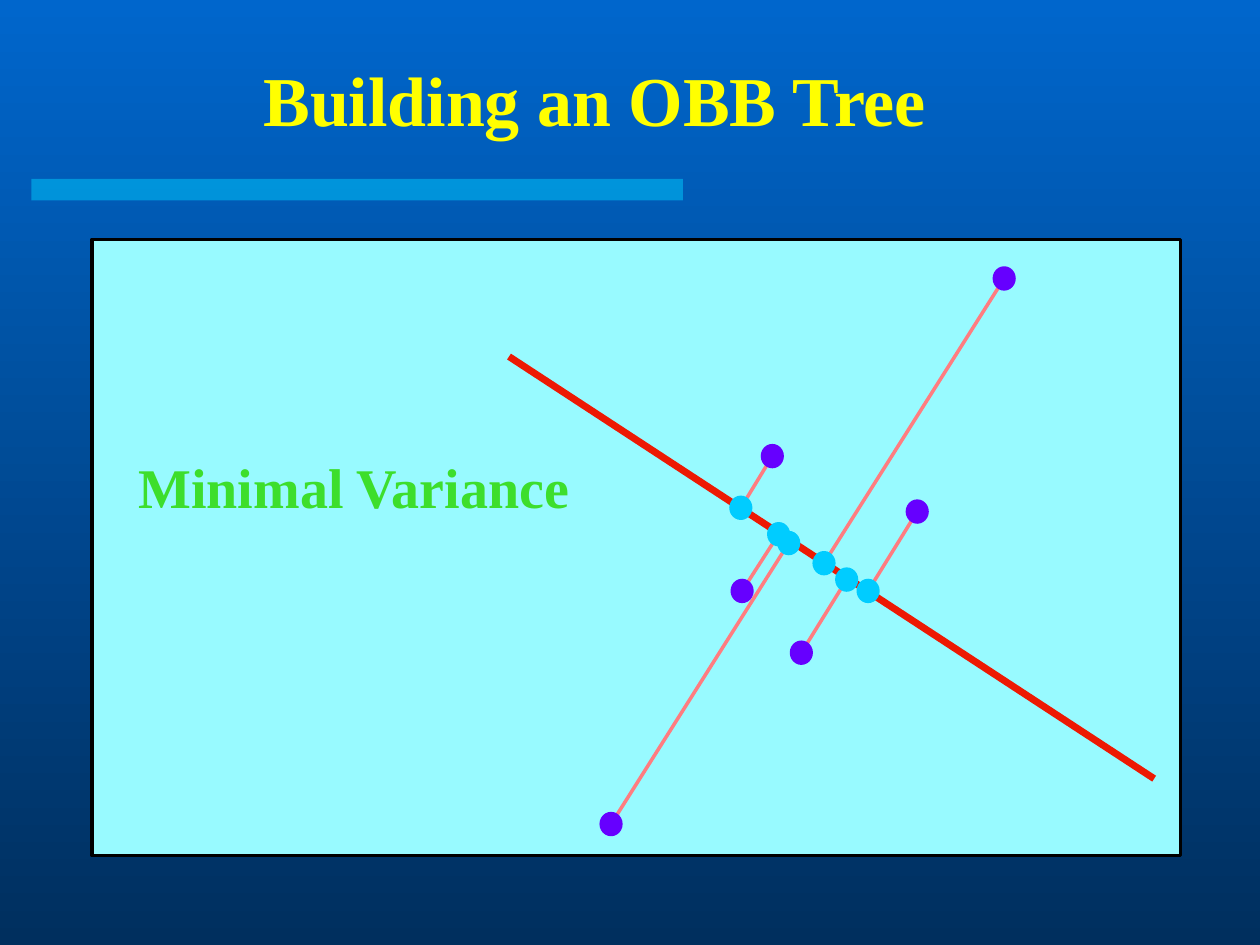
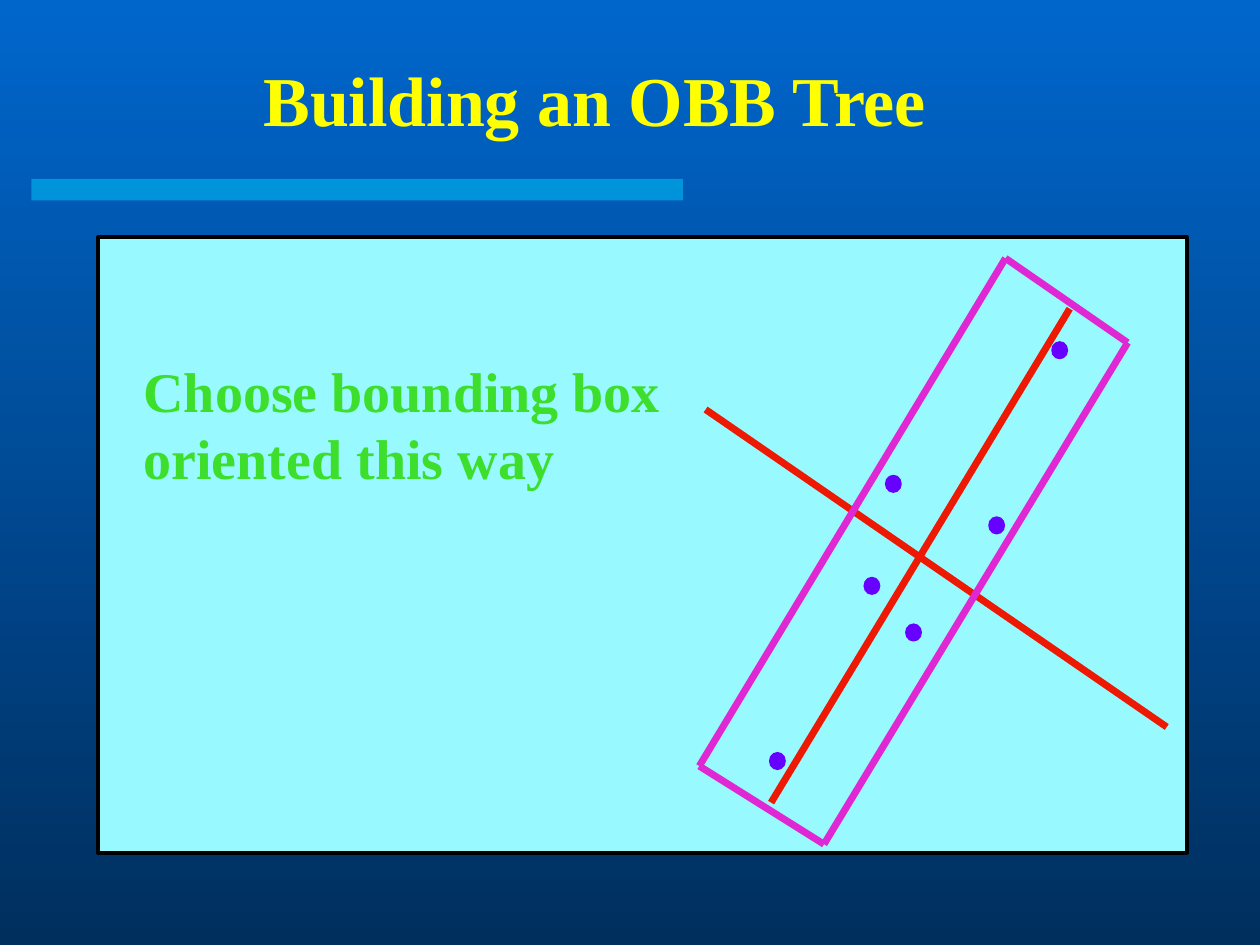
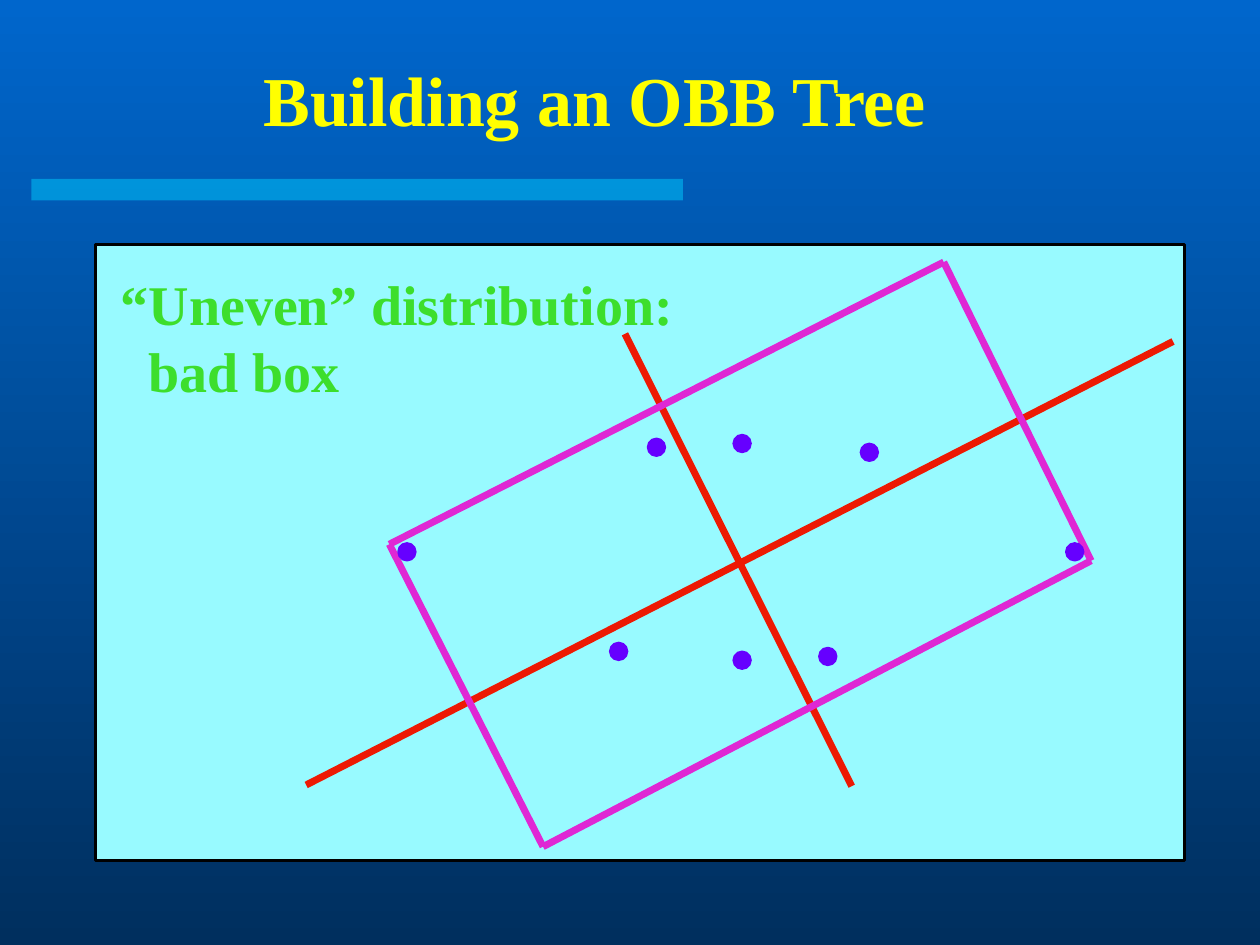
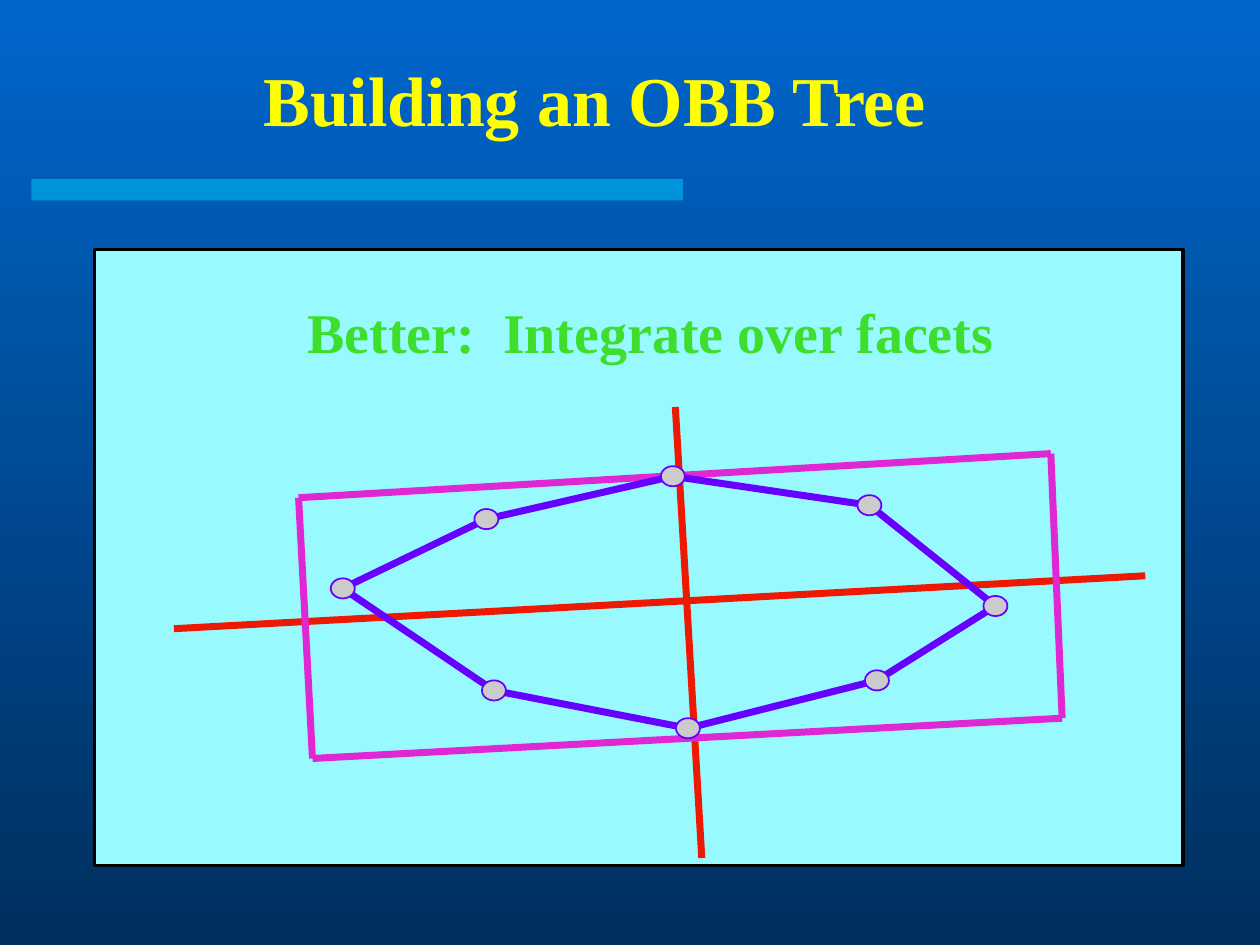
"""Build four slides on choosing an oriented bounding box."""
import dataclasses

import lxml.etree
import pptx
import pptx.dml.color
import pptx.enum.shapes
import pptx.enum.text
import pptx.oxml.ns
import pptx.util

TITLE = "Building an OBB Tree"
SLIDES = [
    {
        "frame": (0.73, 1.9),
        "caption": ["Minimal Variance"],
        "caption_box": (1, 3.54, 3.68, 0.63),
        "axes": [((9.16, 6.18), (4.04, 2.83))],
        "dot": (0.17, 0.18),
        "projections": [
            ((6.13, 3.62), (5.88, 4.03)),
            ((5.89, 4.69), (6.18, 4.24)),
            ((4.85, 6.54), (6.26, 4.31)),
            ((7.97, 2.21), (6.54, 4.47)),
            ((6.36, 5.18), (6.72, 4.6)),
            ((7.28, 4.06), (6.89, 4.69)),
        ],
    },
    {
        "frame": (0.78, 1.88),
        "caption": ["Choose bounding box", "oriented this way"],
        "caption_box": (1.04, 2.78, 4.31, 1.17),
        "axes": [((9.26, 5.77), (5.6, 3.25)), ((8.49, 2.45), (6.12, 6.37))],
        "box": [(5.55, 6.08), (7.98, 2.05), (8.95, 2.72), (6.54, 6.7)],
        "dot": (0.12, 0.13),
        "points": [(8.41, 2.78), (7.09, 3.84), (7.91, 4.17),
                   (6.92, 4.65), (7.25, 5.02), (6.17, 6.04)],
    },
    {
        "frame": (0.76, 1.94),
        "caption": ["“Uneven” distribution:", "bad box"],
        "caption_box": (0.86, 2.09, 4.59, 1.17),
        "indent": 0.22,
        "axes": [((4.96, 2.65), (6.76, 6.24)), ((2.43, 6.23), (9.31, 2.71))],
        "box": [(3.09, 4.32), (7.49, 2.08), (8.66, 4.45), (4.31, 6.72)],
        "dot": (0.14, 0.14),
        "points": [(5.89, 3.52), (5.89, 5.24), (5.21, 3.55), (4.91, 5.17),
                   (6.57, 5.21), (6.9, 3.59), (8.53, 4.38), (3.23, 4.38)],
    },
    {
        "frame": (0.75, 1.98),
        "caption": ["Better:  Integrate over facets"],
        "caption_box": (2.34, 2.31, 5.66, 0.63),
        "axes": [((5.36, 3.23), (5.57, 6.81)), ((1.38, 4.99), (9.09, 4.57))],
        "box": [(2.37, 3.95), (8.34, 3.6), (8.43, 5.7), (2.48, 6.02)],
        "dot": (0.19, 0.16),
        "hull": [(2.72, 4.67), (3.86, 4.12), (5.34, 3.78), (6.9, 4.01),
                 (7.9, 4.81), (6.96, 5.4), (5.46, 5.78), (3.92, 5.48)],
    },
]


@dataclasses.dataclass(frozen=True)
class Theme:
    """Colours, type, line widths and shared places."""

    font: str = "Times New Roman"
    title_size: int = 40
    caption_size: int = 32
    title: str = "FFFF00"
    caption: str = "3DDE2C"
    backdrop: tuple = ("0066CC", "002F5E")
    panel: str = "98FAFF"
    outline: str = "000000"
    axis: str = "ED1903"
    box: str = "DF27D4"
    drop: str = "FF7C80"
    point: str = "6600FF"
    projected: str = "00CCFF"
    vertex: str = "CBCBCB"
    thick: int = 4
    thin: int = 2
    hair: int = 1
    slide_size: tuple = (10, 7.5)
    frame_size: tuple = (8.64, 4.89)
    title_box: tuple = (0.29, 0.32, 8.86, 0.93)
    band_box: tuple = (0.25, 1.42, 5.17, 0.17)
    band_alpha: int = 50


THEME = Theme()


def rgb(code):
    """Return the colour object of a hex code."""
    return pptx.dml.color.RGBColor.from_string(code)


def inches(values):
    """Return lengths in slide units."""
    return [pptx.util.Inches(value) for value in values]


def add_filled(shapes, kind, place, fill, outline=None, width=0):
    """Add a flat preset shape."""
    shape = shapes.add_shape(kind, *inches(place))
    shape.shadow.inherit = False
    shape.fill.solid()
    shape.fill.fore_color.rgb = rgb(fill)
    if outline:
        shape.line.color.rgb = rgb(outline)
        shape.line.width = pptx.util.Pt(width)
    else:
        shape.line.fill.background()
    return shape


def add_segment(shapes, start, end, color, width):
    """Add a straight line without a shadow."""
    segment = shapes.add_connector(
        pptx.enum.shapes.MSO_CONNECTOR.STRAIGHT, *inches(start + end))
    segment.line.color.rgb = rgb(color)
    segment.line.width = pptx.util.Pt(width)
    lxml.etree.SubElement(segment.element.spPr, pptx.oxml.ns.qn("a:effectLst"))


def add_loop(shapes, corners, color):
    """Join corners into a closed outline of lines."""
    for start, end in zip(corners, corners[1:] + corners[:1]):
        add_segment(shapes, start, end, color, THEME.thick)


def add_dots(shapes, centres, size, fill, outline):
    """Add an ellipse around each centre."""
    width, height = size
    for x, y in centres:
        add_filled(shapes, pptx.enum.shapes.MSO_SHAPE.OVAL,
                   (x - width / 2, y - height / 2, width, height),
                   fill, outline, THEME.hair)


def style(paragraph, size, color):
    """Set the bold serif type of a paragraph."""
    paragraph.font.name = THEME.font
    paragraph.font.size = pptx.util.Pt(size)
    paragraph.font.bold = True
    paragraph.font.color.rgb = rgb(color)


def add_caption(shapes, content):
    """Add the caption, its later lines indented where asked."""
    caption = shapes.add_textbox(*inches(content["caption_box"])).text_frame
    caption.word_wrap = False
    caption.auto_size = pptx.enum.text.MSO_AUTO_SIZE.SHAPE_TO_FIT_TEXT
    caption.text = "\n".join(content["caption"])
    for paragraph in caption.paragraphs:
        style(paragraph, THEME.caption_size, THEME.caption)
    if "indent" in content:
        margin = pptx.util.Inches(content["indent"])
        for paragraph in caption.paragraphs[1:]:
            paragraph._p.get_or_add_pPr().set("marL", str(margin))


def set_title(slide):
    """Place and format the title placeholder."""
    title = slide.shapes.title
    title.left, title.top, title.width, title.height = inches(THEME.title_box)
    title.text_frame.text = TITLE
    title.text_frame.vertical_anchor = pptx.enum.text.MSO_ANCHOR.MIDDLE
    heading = title.text_frame.paragraphs[0]
    heading.alignment = pptx.enum.text.PP_ALIGN.CENTER
    style(heading, THEME.title_size, THEME.title)


def set_master(master, slide):
    """Give the master its gradient and its translucent band."""
    backdrop = master.background.fill
    backdrop.gradient()
    backdrop.gradient_angle = 270
    for stop, color in zip(backdrop.gradient_stops, THEME.backdrop):
        stop.color.rgb = rgb(color)
    band = add_filled(slide.shapes, pptx.enum.shapes.MSO_SHAPE.RECTANGLE,
                      THEME.band_box, THEME.projected).element
    color = band.spPr.find(".//" + pptx.oxml.ns.qn("a:srgbClr"))
    alpha = lxml.etree.SubElement(color, pptx.oxml.ns.qn("a:alpha"))
    alpha.set("val", str(THEME.band_alpha * 1000))
    band.xpath("./p:nvSpPr/p:cNvPr")[0].set("id", "20")
    master.shapes.element.insert(2, band)


def draw_diagram(shapes, content):
    """Draw the panel, caption, lines and dots."""
    add_filled(shapes, pptx.enum.shapes.MSO_SHAPE.RECTANGLE,
               content["frame"] + THEME.frame_size,
               THEME.panel, THEME.outline, THEME.thin)
    add_caption(shapes, content)
    for start, end in content["axes"]:
        add_segment(shapes, start, end, THEME.axis, THEME.thick)
    add_loop(shapes, content.get("box", []), THEME.box)
    projections = content.get("projections", [])
    for point, foot in projections:
        add_segment(shapes, point, foot, THEME.drop, THEME.thin)
    feet = [foot for _, foot in projections]
    points = content.get("points", [point for point, _ in projections])
    hull = content.get("hull", [])
    add_loop(shapes, hull, THEME.point)
    for centres, fill, outline in (
            (feet, THEME.projected, THEME.projected),
            (points, THEME.point, THEME.point),
            (hull, THEME.vertex, THEME.point)):
        add_dots(shapes, centres, content["dot"], fill, outline)


def main():
    """Build and save the presentation."""
    deck = pptx.Presentation()
    deck.slide_width, deck.slide_height = inches(THEME.slide_size)
    title_only = deck.slide_layouts.get_by_name("Title Only")
    for content in SLIDES:
        slide = deck.slides.add_slide(title_only)
        set_title(slide)
        draw_diagram(slide.shapes.add_group_shape().shapes, content)
    set_master(deck.slide_master, deck.slides[0])
    deck.save("out.pptx")


if __name__ == "__main__":
    main()
